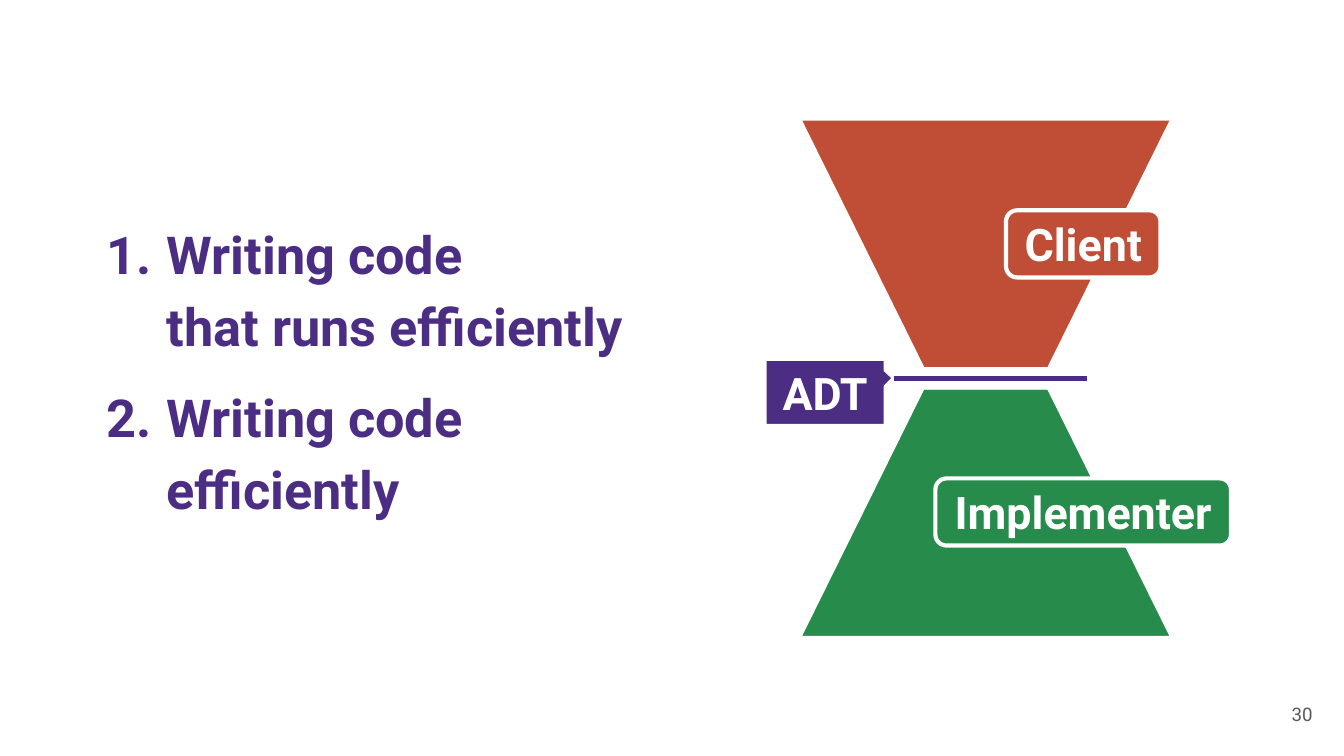
"""Build the slide that sets client and implementer on either side of an ADT."""
from copy import deepcopy
from dataclasses import dataclass

from lxml import etree
from pptx import Presentation
from pptx.dml.color import RGBColor
from pptx.enum.shapes import MSO_CONNECTOR, MSO_SHAPE
from pptx.enum.text import MSO_ANCHOR, MSO_AUTO_SIZE, PP_ALIGN
from pptx.oxml.ns import qn
from pptx.util import Pt

PX = 4572
FONT = "Roboto"
WHITE, GREY = "FFFFFF", "595959"
PURPLE, GREEN, RED = "4B2E83", "278B4C", "C04E36"
TRAP = MSO_SHAPE.TRAPEZOID
ROUND = MSO_SHAPE.ROUNDED_RECTANGLE
CALL = MSO_SHAPE.ROUNDED_RECTANGULAR_CALLOUT
LINE = MSO_CONNECTOR.STRAIGHT
MIDDLE = MSO_ANCHOR.MIDDLE
NO_FIT = MSO_AUTO_SIZE.NONE
LEFT, CENTER, RIGHT = PP_ALIGN.LEFT, PP_ALIGN.CENTER, PP_ALIGN.RIGHT


@dataclass
class Block:
    kind: int
    box: tuple[int, int, int, int]
    fill: str
    edge: float
    adjust: tuple[float, ...]
    text: str = ""
    turn: int = 0
    flip: bool = False


BLOCKS = [
    Block(TRAP, (1167, 563, 600, 400), GREEN, 12, (0.495,)),
    Block(TRAP, (1167, 163, 600, 400), RED, 12, (0.495,), turn=180),
    Block(ROUND, (1392, 712, 440, 100), GREEN, 2.25, (0.167,), "Implementer"),
    Block(ROUND, (1497, 313, 230, 100), RED, 2.25, (0.167,), "Client"),
    Block(CALL, (1138, 534, 180, 100), PURPLE, 2.25, (-0.572, -0.213, 0),
          "ADT", flip=True),
]
GOALS = ["Writing code\vthat runs efficiently", "Writing code\vefficiently"]


def color(code: str) -> RGBColor:
    return RGBColor.from_string(code)


def scale(box: tuple[int, ...]) -> list[int]:
    return [side * PX for side in box]


def write(shape, text: str, size: int, ink: str, align, bold: bool = True) -> None:
    frame = shape.text_frame
    frame.text = text
    frame.word_wrap = True
    frame.auto_size = NO_FIT
    frame.vertical_anchor = MIDDLE
    frame.margin_left = frame.margin_right = 20 * PX
    frame.margin_top = frame.margin_bottom = 20 * PX
    for para in frame.paragraphs:
        para.alignment = align
        for run in para.runs:
            run.font.name = FONT
            run.font.size = Pt(size)
            run.font.bold = bold
            run.font.color.rgb = color(ink)


def draw(slide, block: Block) -> None:
    shape = slide.shapes.add_shape(block.kind, *scale(block.box))
    shape.shadow.inherit = False
    shape.rotation = block.turn
    for index, value in enumerate(block.adjust):
        shape.adjustments[index] = value
    shape.fill.solid()
    shape.fill.fore_color.rgb = color(block.fill)
    shape.line.color.rgb = color(WHITE)
    shape.line.width = Pt(block.edge)
    if block.flip:
        shape.element.spPr.find(qn("a:xfrm")).set("flipH", "1")
    if block.text:
        write(shape, block.text, 24, WHITE, CENTER)


def rule(slide) -> None:
    line = slide.shapes.add_connector(LINE, *scale((1330, 563, 1618, 563)))
    line.line.color.rgb = color(PURPLE)
    line.line.width = Pt(3)
    etree.SubElement(line.element.spPr, qn("a:effectLst"))


def number(para) -> None:
    para.line_spacing = 1.15
    props = para._p.get_or_add_pPr()
    props.set("marL", str(120 * PX))
    props.set("indent", str(-89 * PX))
    tint = etree.SubElement(props, qn("a:buClr"))
    etree.SubElement(tint, qn("a:srgbClr"), val=PURPLE)
    etree.SubElement(props, qn("a:buFont"), typeface=FONT)
    etree.SubElement(props, qn("a:buAutoNum"), type="arabicPeriod")
    style = para.runs[0].font._element
    for gap in para._p.findall(qn("a:br")):
        gap.insert(0, deepcopy(style))


def head(slide) -> None:
    title = slide.shapes.title
    title.left, title.top, title.width, title.height = scale((108, 98, 1392, 894))
    write(title, "\n".join(GOALS), 28, PURPLE, LEFT)
    last = title.text_frame.paragraphs[-1]
    last.space_before = last.space_after = Pt(10)
    for para in title.text_frame.paragraphs:
        number(para)


def main() -> None:
    deck = Presentation()
    deck.slide_width, deck.slide_height = scale((2000, 1125))
    slide = deck.slides.add_slide(deck.slide_layouts[5])
    head(slide)
    for block in BLOCKS:
        draw(slide, block)
    rule(slide)
    page = slide.shapes.add_textbox(*scale((1853, 1020, 120, 86)))
    write(page, "30", 10, GREY, RIGHT, bold=False)
    deck.save("out.pptx")


if __name__ == "__main__":
    main()
